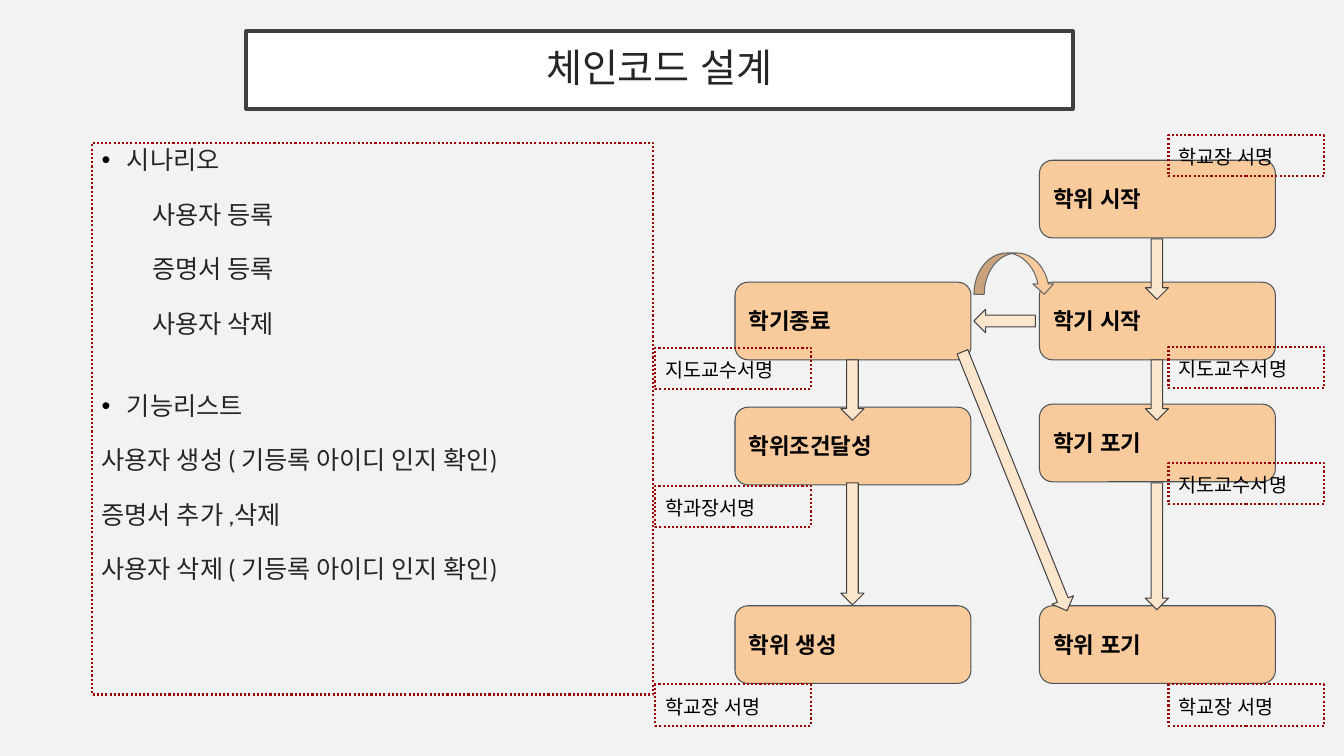
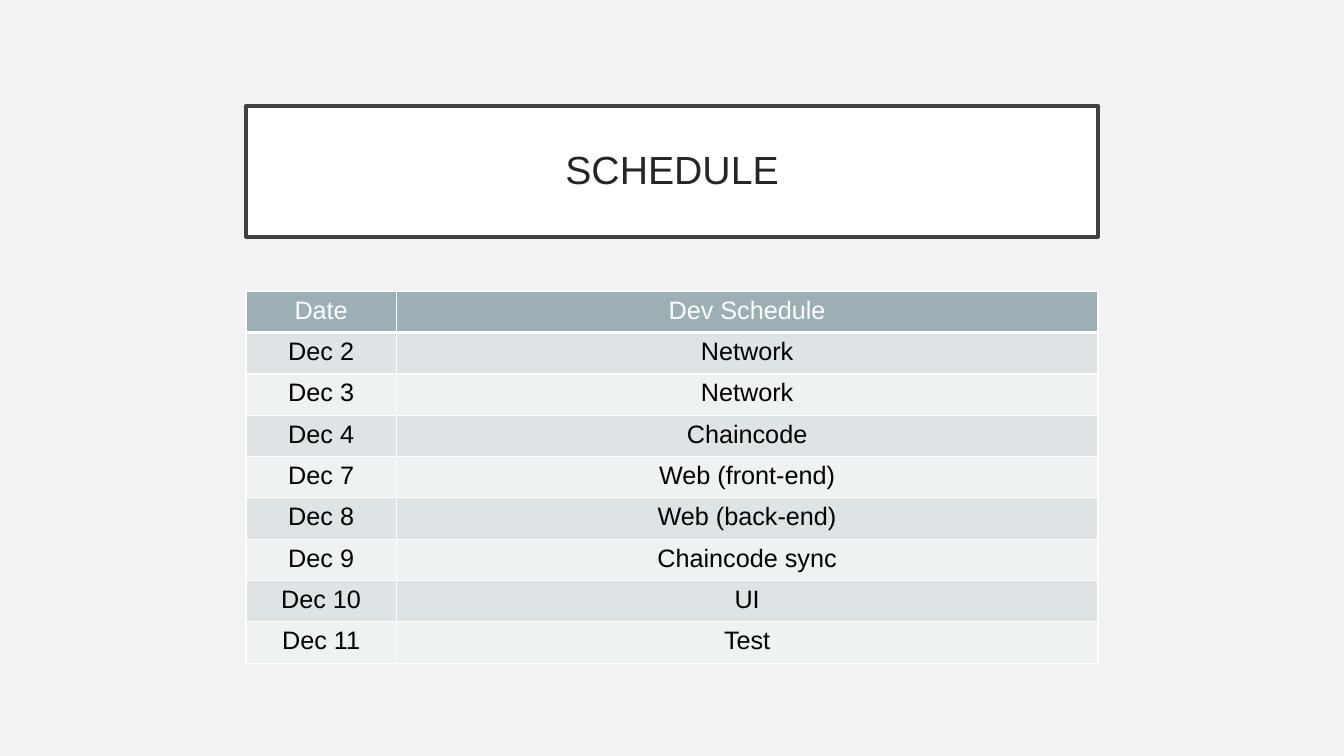
from dataclasses import dataclass

from lxml.etree import SubElement
from pptx import Presentation
from pptx.dml.color import RGBColor
from pptx.enum.dml import MSO_LINE
from pptx.enum.shapes import MSO_SHAPE
from pptx.enum.text import MSO_ANCHOR, MSO_AUTO_SIZE, PP_ALIGN
from pptx.oxml.ns import qn
from pptx.util import Inches, Pt


@dataclass(frozen=True)
class Theme:
    background: str = "F2F2F2"
    white: str = "FFFFFF"
    black: str = "000000"
    ink: str = "262626"
    title_line: str = "404040"
    dotted: str = "980000"
    state: str = "F9CB9C"
    state_line: str = "4A5356"
    arrow: str = "FCE5CD"
    arrow_line: str = "434343"
    loop_line: str = "666666"
    header: str = "9BAFB5"
    bands: tuple = ("DEE3E5", "EFF2F2")
    font: str = "Arial"
    body_font: str = "Cabin"
    title_size: int = 28
    body_size: int = 18
    state_size: int = 16
    label_size: int = 14


T = Theme()


def rgb(value):
    return RGBColor.from_string(value)


def write(p, text, *, size, color=T.black, font=T.font, bold=False,
          align=PP_ALIGN.LEFT, spacing=None, before=0):
    p.alignment = align
    p.space_before = Pt(before)
    if spacing:
        p.line_spacing = spacing
    r = p.add_run()
    r.text = text
    r.font.size, r.font.bold, r.font.name = Pt(size), bold, font
    r.font.color.rgb = rgb(color)
    # East Asian text uses the same typeface
    SubElement(r.font._element, qn("a:ea")).set("typeface", font)


def indent(p, margin, first=0, bullet=None):
    pPr = p._p.get_or_add_pPr()
    pPr.set("marL", str(Inches(margin)))
    pPr.set("indent", str(Inches(first)))
    if bullet:
        color = SubElement(pPr, qn("a:buClr"))
        SubElement(color, qn("a:srgbClr")).set("val", T.black)
        SubElement(pPr, qn("a:buFont")).set("typeface", T.font)
        SubElement(pPr, qn("a:buChar")).set("char", bullet)


def place(sp, left, top, width, height):
    sp.left, sp.top = Inches(left), Inches(top)
    sp.width, sp.height = Inches(width), Inches(height)


def paint(sp, fill, line, weight, dash=None):
    if fill:
        sp.fill.solid()
        sp.fill.fore_color.rgb = rgb(fill)
    else:
        sp.fill.background()
    sp.line.color.rgb = rgb(line)
    sp.line.width = Pt(weight)
    if dash:
        sp.line.dash_style = dash


def set_frame(sp, inset_x, inset_y, anchor):
    tf = sp.text_frame
    tf.word_wrap = True
    tf.auto_size = MSO_AUTO_SIZE.NONE
    tf.vertical_anchor = anchor
    tf.margin_left = tf.margin_right = Inches(inset_x)
    tf.margin_top = tf.margin_bottom = Inches(inset_y)
    return tf


def add_shape(s, kind, box, fill, line, weight=0.75):
    sp = s.shapes.add_shape(kind, *map(Inches, box))
    sp.shadow.inherit = False
    paint(sp, fill, line, weight)
    return sp


def add_dotted_box(s, box, inset_y):
    sp = s.shapes.add_textbox(*map(Inches, box))
    paint(sp, None, T.dotted, 1.5, MSO_LINE.ROUND_DOT)
    return set_frame(sp, 0.1, inset_y, MSO_ANCHOR.TOP)


def add_titled_slide(prs, title, box):
    s = prs.slides.add_slide(prs.slide_layouts[5])
    sp = s.shapes.title
    place(sp, *box)
    paint(sp, T.white, T.title_line, 2.5)
    tf = set_frame(sp, 0.2, 0.2, MSO_ANCHOR.MIDDLE)
    write(tf.paragraphs[0], title, size=T.title_size, color=T.ink,
          align=PP_ALIGN.CENTER, spacing=0.9)
    return s


def add_outline(s, box):
    """Scenario and function list; each item is (text, style, space before)."""
    gap = 19.5
    items = [
        ("시나리오", "bullet", 0),
        ("사용자 등록", "sub", gap),
        ("증명서 등록", "sub", gap),
        ("사용자 삭제", "sub", gap),
        ("기능리스트", "bullet", 2 * gap),
        ("사용자 생성 ( 기등록 아이디 인지 확인)", "plain", gap),
        ("증명서 추가 ,삭제", "plain", gap),
        ("사용자 삭제 ( 기등록 아이디 인지 확인)", "plain", gap),
    ]
    styles = {"bullet": (0.25, -0.25, "•"), "sub": (0.5,), "plain": (0,)}
    tf = add_dotted_box(s, box, 0.05)
    for i, (text, style, before) in enumerate(items):
        p = tf.add_paragraph() if i else tf.paragraphs[0]
        write(p, text, size=T.body_size, color=T.ink, font=T.body_font,
              spacing=0.9, before=before)
        indent(p, *styles[style])


def add_state_flow(s, left, top):
    """Degree states, their transitions and the signatures they need."""
    def at(x, y, w, h):
        return left + x, top + y, w, h

    # States, by column
    state_w, state_h = 2.34, 0.77
    left_x, right_x = 0.79, 3.81
    columns = {
        left_x: [("학기종료", 1.46), ("학위조건달성", 2.7), ("학위 생성", 4.67)],
        right_x: [("학위 시작", 0.25), ("학기 시작", 1.46),
                  ("학기 포기", 2.67), ("학위 포기", 4.67)],
    }
    for x, states in columns.items():
        for text, y in states:
            sp = add_shape(s, MSO_SHAPE.ROUNDED_RECTANGLE,
                           at(x, y, state_w, state_h), T.state, T.state_line)
            tf = set_frame(sp, 0.1, 0.1, MSO_ANCHOR.MIDDLE)
            write(tf.paragraphs[0], text, size=T.state_size, bold=True)

    # Transitions
    thick = 0.23
    down_left, down_right = 1.84, 4.86
    arrows = [
        (down_right, 1.03, 0.6, 0),
        (down_right, 2.23, 0.6, 0),
        (down_right, 3.45, 1.26, 0),
        (down_left, 2.23, 0.6, 0),
        (down_left, 3.45, 1.21, 0),
        (3.45, 2.05, 2.77, -22),
    ]
    for x, y, length, angle in arrows:
        sp = add_shape(s, MSO_SHAPE.DOWN_ARROW, at(x, y, thick, length),
                       T.arrow, T.arrow_line)
        sp.rotation = angle
    add_shape(s, MSO_SHAPE.LEFT_ARROW, at(3.16, 1.73, 0.61, thick),
              T.arrow, T.arrow_line)
    add_shape(s, MSO_SHAPE.CURVED_DOWN_ARROW, at(3.16, 1.17, 0.8, 0.41),
              T.state, T.loop_line)

    # Signatures, by column
    signatures = {
        0: [("지도교수서명", 2.11), ("학과장서명", 3.48), ("학교장 서명", 5.45)],
        5.09: [("학교장 서명", 0), ("지도교수서명", 2.1),
               ("지도교수서명", 3.25), ("학교장 서명", 5.45)],
    }
    for x, labels in signatures.items():
        for text, y in labels:
            tf = add_dotted_box(s, at(x, y, 1.54, 0.41), 0.1)
            write(tf.paragraphs[0], text, size=T.label_size, font=T.body_font)


def set_borders(cell, **weights):
    tcPr = cell._tc.get_or_add_tcPr()
    for side in "LRTB":
        ln = SubElement(tcPr, qn(f"a:ln{side}"), w=str(Pt(weights.get(side, 1))))
        fill = SubElement(ln, qn("a:solidFill"))
        SubElement(fill, qn("a:srgbClr")).set("val", T.white)


def add_schedule(s, left, top, widths, row_h):
    rows = [
        ("Date", "Dev Schedule"),
        ("Dec 2", "Network"),
        ("Dec 3", "Network"),
        ("Dec 4", "Chaincode"),
        ("Dec 7", "Web (front-end)"),
        ("Dec 8", "Web (back-end)"),
        ("Dec 9", "Chaincode sync"),
        ("Dec 10", "UI"),
        ("Dec 11", "Test"),
    ]
    box = (left, top, sum(widths), row_h * len(rows))
    table = s.shapes.add_table(len(rows), len(widths), *map(Inches, box)).table
    for column, width in zip(table.columns, widths):
        column.width = Inches(width)
    for i, row in enumerate(rows):
        table.rows[i].height = Inches(row_h)
        fill = T.bands[(i - 1) % 2] if i else T.header
        # A heavier rule separates the header from the first row
        heavy = {0: {"B": 3}, 1: {"T": 3}}.get(i, {})
        for j, text in enumerate(row):
            cell = table.cell(i, j)
            set_borders(cell, **heavy)
            cell.fill.solid()
            cell.fill.fore_color.rgb = rgb(fill)
            write(cell.text_frame.paragraphs[0], text, size=T.body_size,
                  color=T.black if i else T.white, align=PP_ALIGN.CENTER)


def main():
    prs = Presentation()
    prs.slide_width, prs.slide_height = Inches(13.33), Inches(7.5)
    background = prs.slide_master.background.fill
    background.solid()
    background.fore_color.rgb = rgb(T.background)

    # Chaincode design
    s = add_titled_slide(prs, "체인코드 설계", (2.44, 0.31, 8.2, 0.77))
    add_outline(s, (0.91, 1.42, 5.57, 5.47))
    add_state_flow(s, 6.5, 1.34)

    # Schedule
    s = add_titled_slide(prs, "SCHEDULE", (2.44, 1.05, 8.45, 1.3))
    add_schedule(s, 2.44, 2.89, (1.49, 6.96), 0.41)

    prs.save("out.pptx")


if __name__ == "__main__":
    main()
